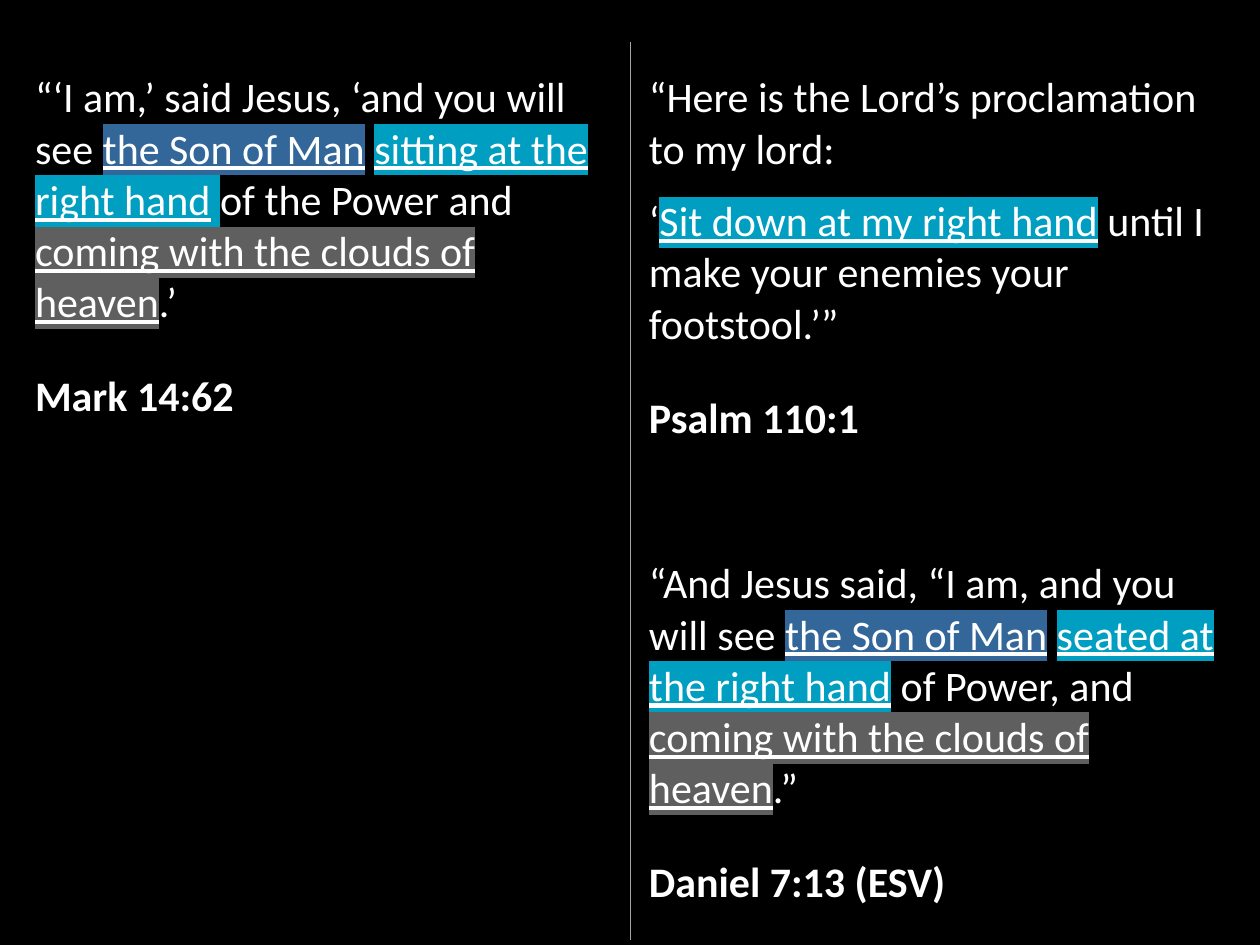
from lxml import etree
from pptx import Presentation
from pptx.dml.color import RGBColor
from pptx.oxml.ns import qn
from pptx.util import Emu, Pt

PX = 914400 // 126
COLORS = {
    "background": "000000",
    "text": "FFFFFF",
    "divider": "A6A6A6",
    "title": "336699",
    "seat": "009EC0",
    "clouds": "5F5F5F",
}
PLAIN_TABLE_STYLE = "{2D5ABB26-0587-4C30-8999-92F81FD0307C}"
SMALL_GAP, REFERENCE_GAP = 12.2, 24.4


def px(length):
    """Turn picture pixels into EMU."""
    return Emu(length * PX)


class VerseSlide:
    """Holds the text style and the current slide."""

    font_name = "Calibri"
    font_size = Pt(24)

    def __init__(self, deck):
        """Add a blank slide with a dark background."""
        self.slide = deck.slides.add_slide(deck.slide_layouts[6])
        fill = self.slide.background.fill
        fill.solid()
        fill.fore_color.rgb = RGBColor.from_string(COLORS["background"])

    def table(self, left, top, widths, heights):
        """Add an unstyled table with the given columns and rows."""
        frame = self.slide.shapes.add_table(
            len(heights), len(widths), px(left), px(top),
            px(sum(widths)), px(sum(heights)))
        grid = frame.table
        grid.first_row = grid.horz_banding = False
        grid._tbl.tblPr.find(qn("a:tableStyleId")).text = PLAIN_TABLE_STYLE
        for column, width in zip(grid.columns, widths):
            column.width = px(width)
        for row, height in zip(grid.rows, heights):
            row.height = px(height)
        for cell in grid.iter_cells():
            cell.fill.background()
        return grid

    def divider(self, cell):
        """Draw a hairline on the left side of a cell."""
        line = etree.Element(qn("a:lnL"), w=str(Pt(0.25)))
        fill = etree.SubElement(line, qn("a:solidFill"))
        etree.SubElement(fill, qn("a:srgbClr"), val=COLORS["divider"])
        cell._tc.get_or_add_tcPr().insert(0, line)

    def verse(self, cell, paragraphs, top=31):
        """Fill a cell with (gap before, bold, runs) paragraphs."""
        cell.margin_left = cell.margin_right = px(19)
        cell.margin_top, cell.margin_bottom = px(top), px(31)
        frame = cell.text_frame
        for index, (gap, bold, runs) in enumerate(paragraphs):
            paragraph = frame.add_paragraph() if index else frame.paragraphs[0]
            paragraph.space_before = Pt(gap)
            font = paragraph.font
            font.name, font.size, font.bold = self.font_name, self.font_size, bold
            font.color.rgb = RGBColor.from_string(COLORS["text"])
            for words, theme, underlined in runs:
                self.run(paragraph, words, theme, underlined)

    def run(self, paragraph, words, theme, underlined):
        """Add words, highlighted in the colour of their theme if any."""
        run = paragraph.add_run()
        run.text = words
        if underlined:
            run.font.underline = True
        if theme:
            highlight = etree.SubElement(run.font._element, qn("a:highlight"))
            etree.SubElement(highlight, qn("a:srgbClr"), val=COLORS[theme])


def plain(words):
    """Describe a run without highlight."""
    return words, None, False


def marked(words, theme):
    """Describe an underlined, highlighted run."""
    return words, theme, True


def reference(words):
    """Describe the bold source line under a verse."""
    return REFERENCE_GAP, True, [plain(words)]


SON_OF_MAN = marked("the Son of Man", "title")
CLOUDS = marked("coming with the clouds of heaven", "clouds")

MARK = [
    (0, False, [
        plain("“‘I am,’ said Jesus, ‘and you will see "), SON_OF_MAN, plain(" "),
        marked("sitting at the right hand", "seat"), (" ", "seat", False),
        plain("of the Power and "), CLOUDS, plain(".’")]),
    reference("Mark 14:62"),
]
PSALM = [
    (0, False, [plain("“Here is the Lord’s proclamation to my lord:")]),
    (SMALL_GAP, False, [
        plain("‘"), marked("Sit down at my right hand", "seat"),
        plain(" until I make your enemies your footstool.’”")]),
    reference("Psalm 110:1"),
]
DANIEL = [
    (0, False, [
        plain("“And Jesus said, “I am, and you will see "), SON_OF_MAN, plain(" "),
        marked("seated at the right hand", "seat"), plain(" of Power, and "),
        CLOUDS, plain(".”")]),
    reference("Daniel 7:13 (ESV)"),
]

deck = Presentation()
deck.slide_width, deck.slide_height = px(1260), px(945)
page = VerseSlide(deck)
verses = page.table(16, 42, [614, 614], [435, 463])
for row in range(2):
    page.divider(verses.cell(row, 1))
page.verse(verses.cell(0, 0), MARK)
page.verse(verses.cell(0, 1), PSALM)
page.verse(verses.cell(1, 1), DANIEL, top=82)
deck.save("out.pptx")
